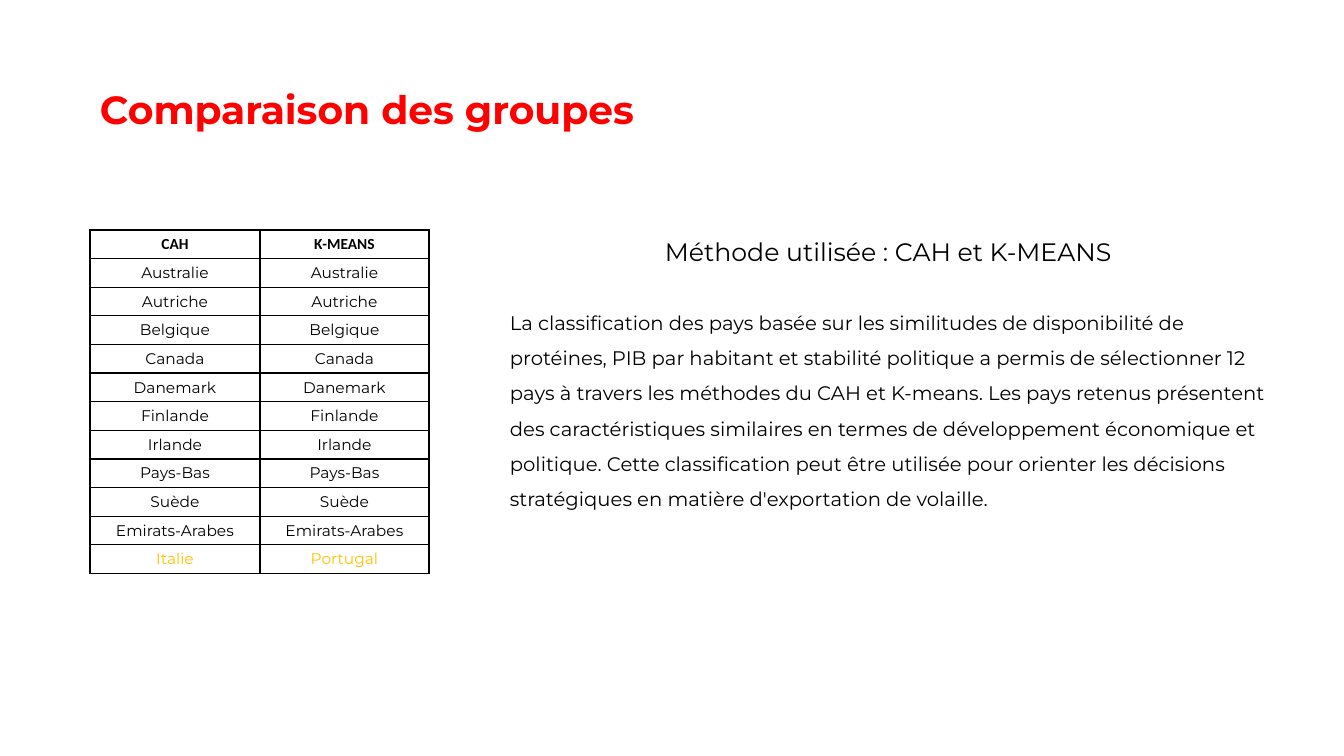
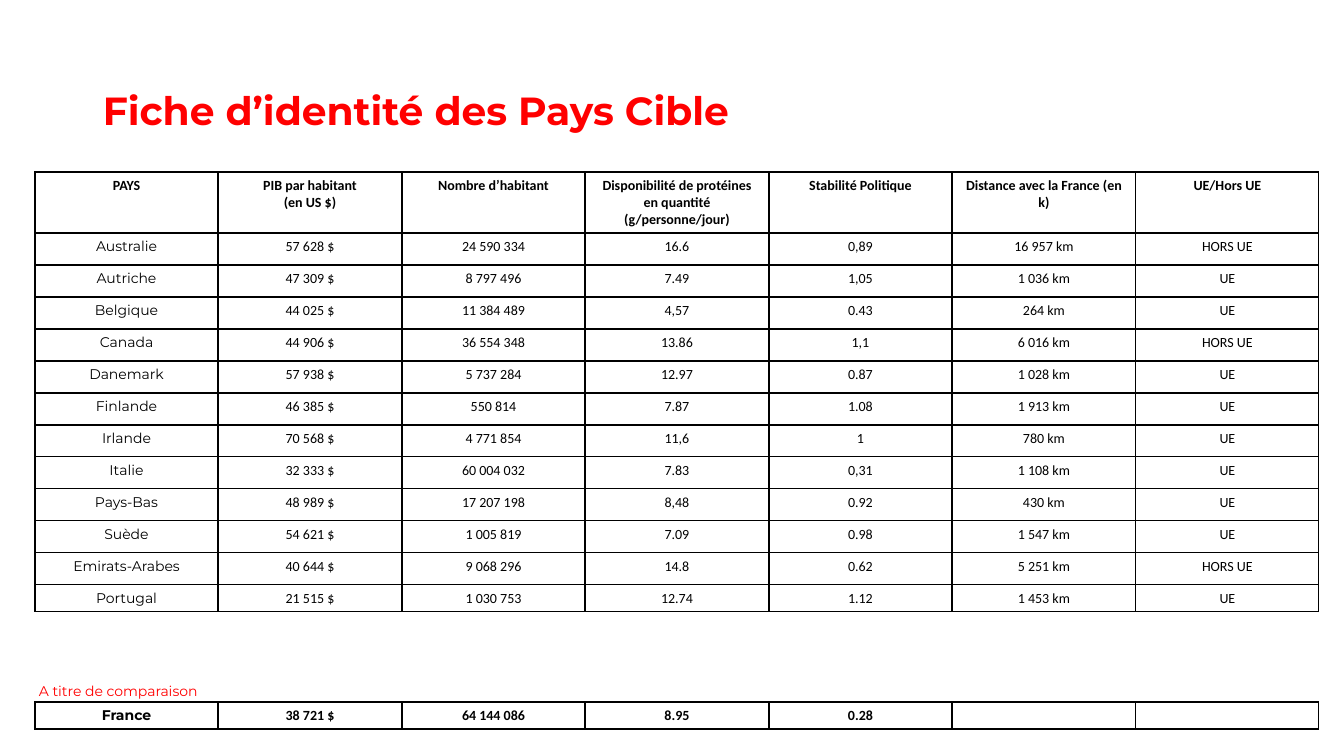
from dataclasses import dataclass
from itertools import pairwise

from lxml.etree import SubElement
from pptx import Presentation
from pptx.dml.color import RGBColor as RGB
from pptx.enum.text import MSO_ANCHOR as ANCHOR, MSO_AUTO_SIZE as AUTO, PP_ALIGN as ALIGN
from pptx.oxml.ns import qn
from pptx.util import Emu, Pt

EMU_PER_PX = 914400 / 100.8


def px(n):
    return Emu(round(n * EMU_PER_PX))


def split(total, n):
    """Cut a whole length into n nearly equal whole parts."""
    edges = [round(total * i / n) for i in range(n + 1)]
    return [b - a for a, b in pairwise(edges)]


@dataclass(frozen=True)
class Theme:
    ink: RGB = RGB(0, 0, 0)
    red: RGB = RGB(0xFF, 0, 0)
    amber: RGB = RGB(0xFF, 0xC0, 0)
    sans: str = "Montserrat"
    figures: str = "Calibri"
    title: int = 28
    heading: int = 18
    body: int = 14
    listing: int = 11
    small: int = 10
    border: int = 1


class Deck:
    def __init__(self, theme, width, height):
        self.theme = theme
        self.prs = Presentation()
        self.prs.slide_width, self.prs.slide_height = px(width), px(height)
        self.s = None

    def slide(self):
        self.s = self.prs.slides.add_slide(self.prs.slide_layouts[6])

    def fill_text(self, tf, text, size, align=None, spacing=None, **fmt):
        """Fill a text frame, one paragraph a line; fmt overrides the font defaults."""
        style = {"size": Pt(size), "name": self.theme.sans, "bold": False} | fmt
        color = style.pop("color", self.theme.ink)
        for i, line in enumerate(text.split("\n")):
            p = tf.add_paragraph() if i else tf.paragraphs[0]
            p.alignment, p.line_spacing = align, spacing
            if not line:
                p._p.get_or_add_endParaRPr().set("sz", str(size * 100))
                continue
            r = p.add_run()
            r.text = line
            for name, value in style.items():
                setattr(r.font, name, value)
            r.font.color.rgb = color

    def text(self, box, text, size, wrap=True, anchor=ANCHOR.TOP, fit=AUTO.SHAPE_TO_FIT_TEXT, **fmt):
        tf = self.s.shapes.add_textbox(*map(px, box)).text_frame
        frame = {"word_wrap": wrap, "vertical_anchor": anchor, "auto_size": fit}
        for name, value in frame.items():
            setattr(tf, name, value)
        self.fill_text(tf, text, size, **fmt)

    def title(self, box, text):
        self.text(box, text, self.theme.title, anchor=ANCHOR.MIDDLE, fit=AUTO.NONE,
                  spacing=0.9, bold=True, color=self.theme.red)

    def outline(self, cell):
        """Draw the four borders of a table cell."""
        tcPr = cell._tc.get_or_add_tcPr()
        for side in ("lnL", "lnR", "lnT", "lnB"):
            ln = SubElement(tcPr, qn(f"a:{side}"), w=str(Pt(self.theme.border)))
            fill = SubElement(ln, qn("a:solidFill"))
            SubElement(fill, qn("a:srgbClr"), val=str(self.theme.ink))

    def table(self, left, top, width, heights, rows, size, style):
        """Add a bordered table; style(row, column) gives the font of each cell."""
        n_cols = len(rows[0])
        box = map(px, (left, top, width, sum(heights)))
        table = self.s.shapes.add_table(len(rows), n_cols, *box).table
        table.first_row = table.horz_banding = False
        for col, w in zip(table.columns, split(width, n_cols)):
            col.width = px(w)
        for i, (row, h) in enumerate(zip(rows, heights)):
            table.rows[i].height = px(h)
            for j, text in enumerate(row):
                cell = table.cell(i, j)
                self.outline(cell)
                cell.fill.background()
                self.fill_text(cell.text_frame, text, size, align=ALIGN.CENTER, **style(i, j))


SHARED = ["Australie", "Autriche", "Belgique", "Canada", "Danemark", "Finlande",
          "Irlande", "Pays-Bas", "Suède", "Emirats-Arabes"]
GROUPS = [("CAH", "K-MEANS"), *((c, c) for c in SHARED), ("Italie", "Portugal")]

SUMMARY = (
    "La classification des pays basée sur les similitudes de disponibilité de protéines, "
    "PIB par habitant et stabilité politique a permis de sélectionner 12 pays à travers les "
    "méthodes du CAH et K-means. Les pays retenus présentent des caractéristiques similaires "
    "en termes de développement économique et politique. Cette classification peut être "
    "utilisée pour orienter les décisions stratégiques en matière d'exportation de volaille."
)

PROFILES = [
    ("PAYS", "PIB par habitant\n(en US $)", "Nombre d’habitant",
     "Disponibilité de protéines en quantité (g/personne/jour)", "Stabilité Politique",
     "Distance avec la France (en k)", "UE/Hors UE"),
    ("Australie", "57 628 $", "24 590 334", "16.6", "0,89", "16 957 km", "HORS UE"),
    ("Autriche", "47 309 $", "8 797 496", "7.49", "1,05", "1 036 km", "UE"),
    ("Belgique", "44 025 $", "11 384 489", "4,57", "0.43", "264 km", "UE"),
    ("Canada", "44 906 $", "36 554 348", "13.86", "1,1", "6 016 km", "HORS UE"),
    ("Danemark", "57 938 $", "5 737 284", "12.97", "0.87", "1 028 km", "UE"),
    ("Finlande", "46 385 $", "550 814", "7.87", "1.08", "1 913 km", "UE"),
    ("Irlande", "70 568 $", "4 771 854", "11,6", "1", "780 km", "UE"),
    ("Italie", "32 333 $", "60 004 032", "7.83", "0,31", "1 108 km", "UE"),
    ("Pays-Bas", "48 989 $", "17 207 198", "8,48", "0.92", "430 km", "UE"),
    ("Suède", "54 621 $", "1 005 819", "7.09", "0.98", "1 547 km", "UE"),
    ("Emirats-Arabes", "40 644 $", "9 068 296", "14.8", "0.62", "5 251 km", "HORS UE"),
    ("Portugal", "21 515 $", "1 030 753", "12.74", "1.12", "1 453 km", "UE"),
]
FRANCE = [("France", "38 721 $", "64 144 086", "8.95", "0.28", "", "")]


def groups_slide(deck):
    t = deck.theme
    last = len(GROUPS) - 1

    def style(i, j):
        if i == 0:
            return {"name": t.figures, "bold": True}
        return {"color": t.amber if i == last else t.ink}

    deck.slide()
    deck.title((90, 39, 1089, 146), "Comparaison des groupes")
    deck.text((500, 294, 786, 220), SUMMARY, t.body, spacing=1.5)
    deck.table(90, 230, 339, [28] * len(GROUPS), GROUPS, t.listing, style)
    deck.text((655, 231, 473, 40), "Méthode utilisée : CAH et K-MEANS", t.heading, wrap=False)


def profiles_slide(deck):
    t = deck.theme
    left, width = 35, 1284
    heights = [61] + [32] * (len(PROFILES) - 2) + [27]

    def profile_style(i, j):
        return {"name": t.sans if i and j == 0 else t.figures, "bold": i == 0}

    def france_style(i, j):
        return {"name": t.figures if j else t.sans, "bold": True}

    deck.slide()
    deck.title((93, 40, 1159, 146), "Fiche d’identité des Pays Cible")
    deck.table(left, 172, width, heights, PROFILES, t.small, profile_style)
    deck.table(left, 702, width, [27], FRANCE, t.small, france_style)
    deck.text((29, 678, 185, 28), "A titre de comparaison", t.small, wrap=False, color=t.red)


def main():
    deck = Deck(Theme(), 1344, 756)
    groups_slide(deck)
    profiles_slide(deck)
    deck.prs.save("out.pptx")


if __name__ == "__main__":
    main()
